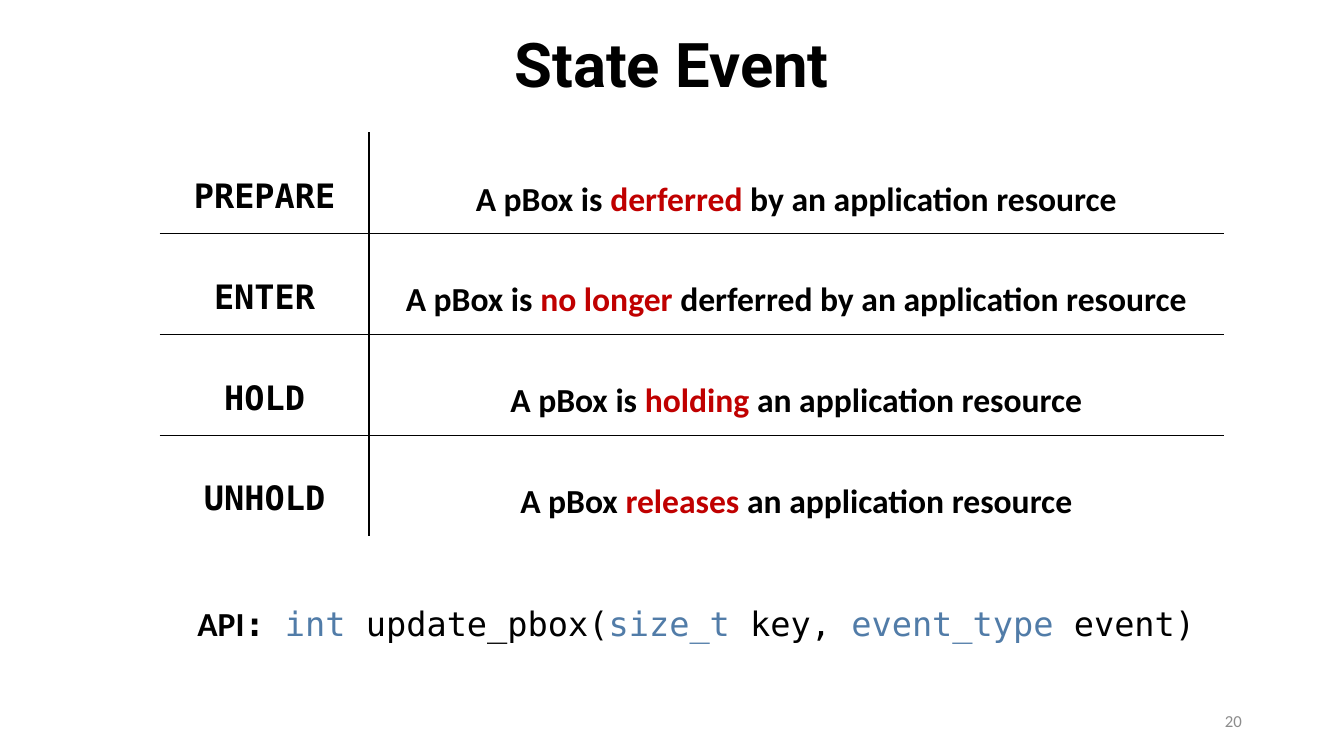
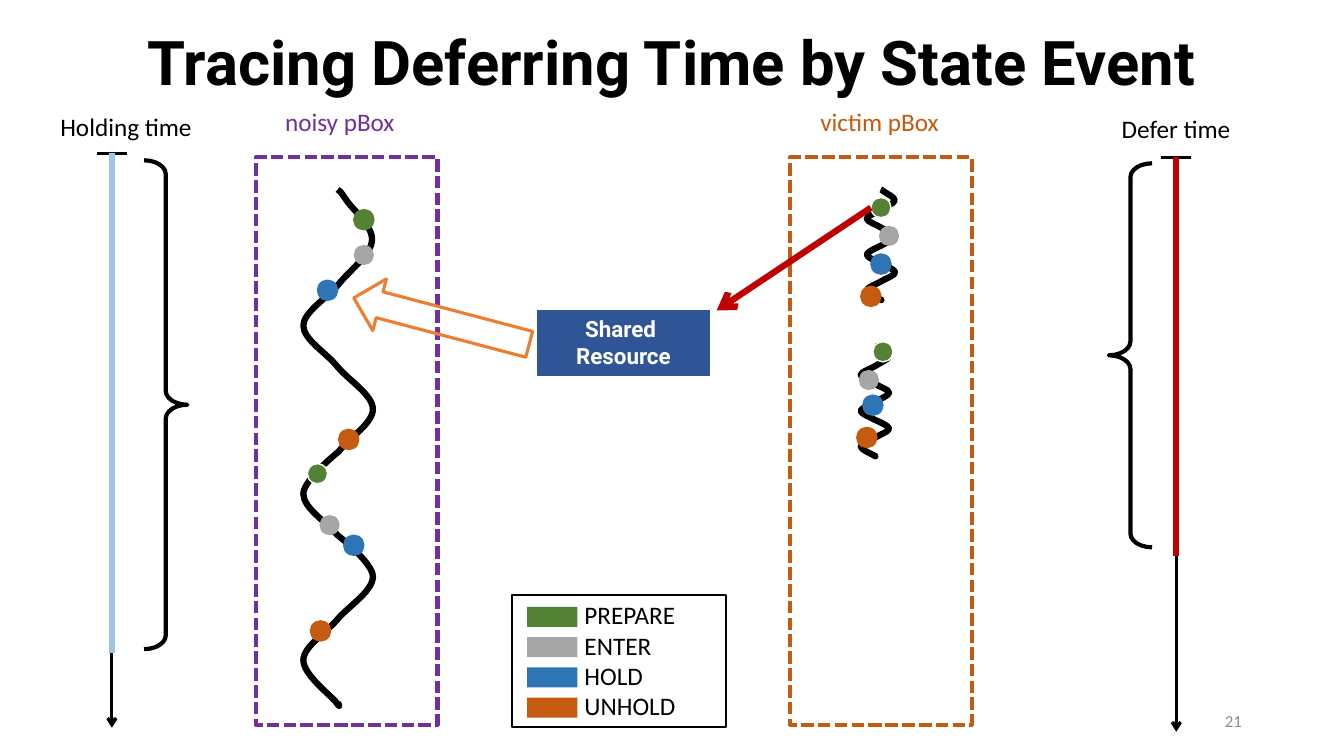
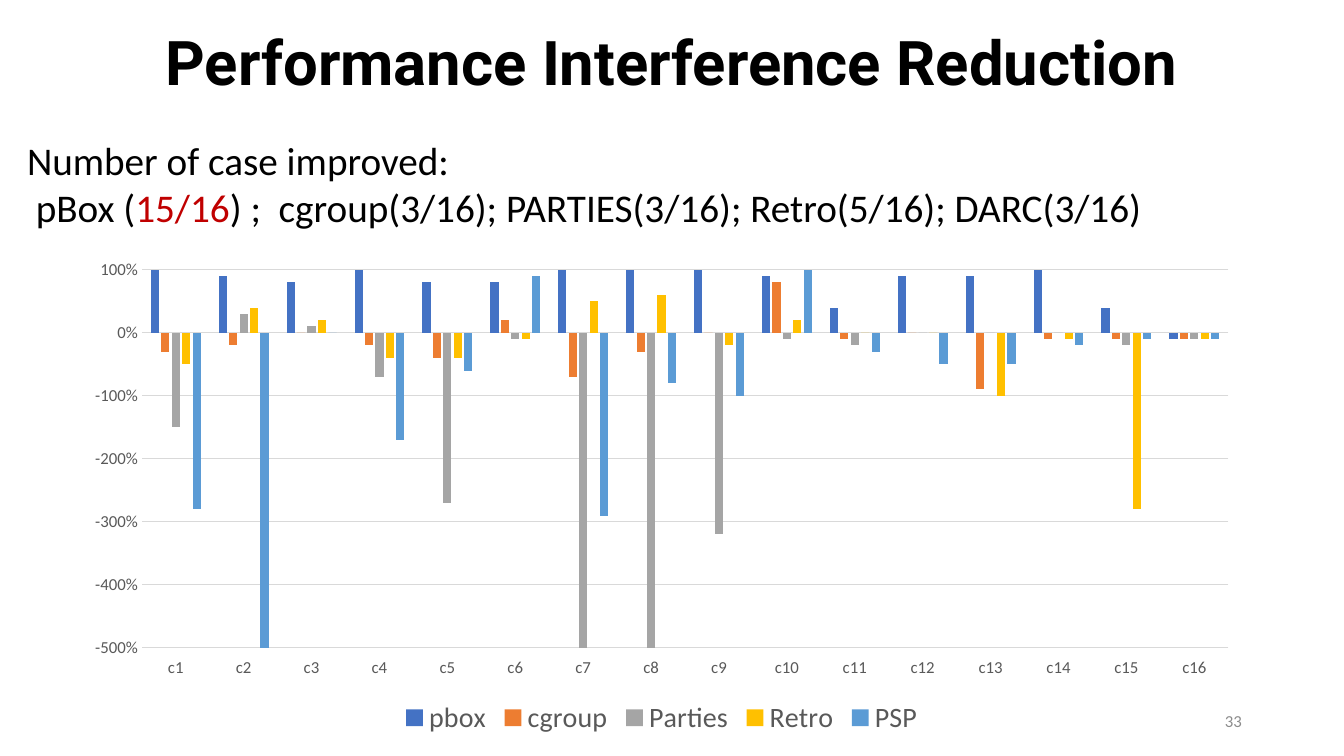
"""Build three slides on pBox state events, deferring time and results."""
from lxml.etree import SubElement
from pptx import Presentation
from pptx.chart.data import CategoryChartData
from pptx.dml.color import RGBColor
from pptx.enum.chart import XL_CHART_TYPE, XL_LEGEND_POSITION, XL_TICK_LABEL_POSITION, XL_TICK_MARK
from pptx.enum.dml import MSO_LINE
from pptx.enum.shapes import MSO_CONNECTOR, MSO_SHAPE
from pptx.enum.text import MSO_ANCHOR, MSO_AUTO_SIZE, PP_ALIGN
from pptx.oxml import parse_xml
from pptx.oxml.ns import nsdecls, qn
from pptx.util import Inches, Pt

WIDTH, HEIGHT = 40 / 3, 7.5
BLACK, WHITE, RED, GREY = "000000", "FFFFFF", "C00000", "595959"
PURPLE, ORANGE, NAVY, GRID = "7030A0", "C55A11", "2F5597", "D9D9D9"
MONO = "DejaVu Sans Mono"
ACCENT = {"colour": RED}
CODE = {"font": MONO, "bold": False}
TYPE = {**CODE, "colour": "517CA8"}

EVENTS = {"PREPARE": "548235", "ENTER": "A6A6A6", "HOLD": "2E75B6", "UNHOLD": ORANGE}
MEANINGS = [
    [("A pBox is ", {}), ("derferred", ACCENT), (" by an application resource", {})],
    [("A pBox is ", {}), ("no longer ", ACCENT), ("derferred by an application resource", {})],
    [("A pBox is ", {}), ("holding", ACCENT), (" an application resource", {})],
    [("A pBox ", {}), ("releases", ACCENT), (" an application resource", {})],
]
API = [
    ("API", {}), (": ", {"font": MONO}), ("int", TYPE), (" update_pbox(", CODE),
    ("size_t", TYPE), (" key, ", CODE), ("event_type", TYPE), (" event)", CODE),
]

BOXES = [("noisy pBox", PURPLE, 2.54, 2.73, 1.36), ("victim pBox", ORANGE, 7.84, 8.04, 1.39)]
WAVE_START = (0.34, 5.09)
WAVE_CURVES = [
    ((0.36, 5.12), (0.37, 5.15), (0.32, 5.08)),
    ((0.26, 5.01), (0, 4.81), (0, 4.67)), ((0, 4.53), (0.24, 4.39), (0.35, 4.25)),
    ((0.47, 4.12), (0.69, 3.98), (0.69, 3.84)), ((0.69, 3.7), (0.34, 3.43), (0.34, 3.43)),
    ((0.22, 3.29), (0, 3.16), (0, 3.02)), ((0, 2.88), (0.35, 2.6), (0.35, 2.6)),
    ((0.46, 2.46), (0.69, 2.32), (0.69, 2.18)), ((0.69, 2.04), (0.46, 1.9), (0.34, 1.76)),
    ((0.23, 1.62), (0, 1.49), (0, 1.35)), ((0, 1.22), (0.23, 1.08), (0.35, 0.94)),
    ((0.46, 0.8), (0.67, 0.65), (0.68, 0.51)), ((0.7, 0.37), (0.48, 0.19), (0.43, 0.11)),
    ((0.37, 0.02), (0.36, 0.01), (0.34, 0)),
]
WAVES = [(3.01, 1.88, 0.69, 5.09), (8.6, 1.88, 0.28, 1.09), (8.54, 3.43, 0.28, 1.09)]
ROUNDS = [
    (EVENTS["PREPARE"], [(3.51, 2.08), (3.51, 2.43), (3.15, 2.78), (3.36, 4.26)]),
    (WHITE, [(3.05, 4.6), (3.17, 5.11), (3.41, 5.31), (3.08, 6.16)]),
    (WHITE, [(8.64, 1.96), (8.72, 2.24), (8.64, 2.52), (8.54, 2.84)]),
    (WHITE, [(8.66, 3.39), (8.52, 3.67), (8.56, 3.92), (8.5, 4.24)]),
]
TIMELINES = [
    ("Holding time", (0.5, 1.06, 1.52, 0.4), 1.11, 1.52,
     [(1.52, 2.52), (2.51, 4.51), (4.48, 6.48)], "9DC3E6",
     MSO_SHAPE.RIGHT_BRACE, (1.43, 1.59, 0.43, 4.85)),
    ("Defer time", (11.03, 1.08, 1.29, 0.4), 11.67, 1.56,
     [(1.56, 3.56), (3.52, 5.52)], RED,
     MSO_SHAPE.LEFT_BRACE, (11, 1.62, 0.43, 3.81)),
]

SUMMARY = [
    [("Number of case improved:", {})],
    [(" ", ACCENT), ("pBox (", {}), ("15/16", ACCENT),
     (") ;  cgroup(3/16); PARTIES(3/16); Retro(5/16); DARC(3/16)", {})],
]
SERIES = [
    ("pbox", "4472C4", [1.1, 0.9, 0.8, 1.1, 0.8, 0.8, 1, 1, 1, 0.9, 0.4, 0.9, 0.9, 1, 0.4, -0.1]),
    ("cgroup", "ED7D31",
     [-0.3, -0.2, 0, -0.2, -0.4, 0.2, -0.7, -0.3, 0, 0.8, -0.1, 0, -0.9, -0.1, -0.1, -0.1]),
    ("Parties", "A5A5A5",
     [-1.5, 0.3, 0.1, -0.7, -2.7, -0.1, -6.8, -6.4, -3.2, -0.1, -0.2, 0, 0, 0, -0.2, -0.1]),
    ("Retro", "FFC000",
     [-0.5, 0.4, 0.2, -0.4, -0.4, -0.1, 0.5, 0.6, -0.2, 0.2, 0, 0, -1, -0.1, -2.8, -0.1]),
    ("PSP", "5B9BD5",
     [-2.8, -24.4, 0, -1.7, -0.6, 0.9, -2.9, -0.8, -1, 1.1, -0.3, -0.5, -0.5, -0.2, -0.1, -0.1]),
]


def rgb(colour):
    return RGBColor.from_string(colour)


def inches(*lengths):
    return [Inches(length) for length in lengths]


def style_font(font, size, colour=BLACK, name="Calibri", bold=False):
    font.size, font.name, font.bold = Pt(size), name, bold
    font.color.rgb = rgb(colour)


def style_text(text_frame, size, colour=BLACK, font="Calibri", bold=False, align=PP_ALIGN.LEFT):
    for paragraph in text_frame.paragraphs:
        paragraph.alignment = align
        for run in paragraph.runs:
            style_font(run.font, size, colour, font, bold)


def write_runs(paragraph, pieces, size, bold=False):
    for text, changes in pieces:
        run = paragraph.add_run()
        run.text = text
        style = {"colour": BLACK, "font": "Calibri", "bold": bold, **changes}
        style_font(run.font, size, style["colour"], style["font"], style["bold"])


def add_text(slide, box, text="", size=18, colour=BLACK, wrap=False, **style):
    text_frame = slide.shapes.add_textbox(*inches(*box)).text_frame
    text_frame.word_wrap = wrap
    text_frame.auto_size = MSO_AUTO_SIZE.SHAPE_TO_FIT_TEXT
    text_frame.text = text
    style_text(text_frame, size, colour, **style)
    return text_frame


def style_outline(shape, fill, line, width):
    shape.shadow.inherit = False
    if fill:
        shape.fill.solid()
        shape.fill.fore_color.rgb = rgb(fill)
    else:
        shape.fill.background()
    if line:
        shape.line.color.rgb = rgb(line)
        shape.line.width = Pt(width)
    else:
        shape.line.fill.background()


def add_shape(parent, kind, box, fill=None, line=None, width=1):
    shape = parent.shapes.add_shape(kind, *inches(*box))
    style_outline(shape, fill, line, width)
    return shape


def add_line(parent, start, end, colour=BLACK, width=2.25, arrow=False):
    connector = parent.shapes.add_connector(MSO_CONNECTOR.STRAIGHT, *inches(*start, *end))
    connector.line.color.rgb = rgb(colour)
    connector.line.width = Pt(width)
    properties = connector._element.spPr
    if arrow:
        SubElement(properties.find(qn("a:ln")), qn("a:tailEnd"), type="arrow")
    SubElement(properties, qn("a:effectLst"))


def add_slide(presentation, title, number):
    slide = presentation.slides.add_slide(presentation.slide_layouts[5])
    text_frame = slide.shapes.title.text_frame
    text_frame.text = title
    text_frame.vertical_anchor = MSO_ANCHOR.MIDDLE
    text_frame.paragraphs[0].line_spacing = 0.9
    style_text(text_frame, 44, font="Roboto", bold=True, align=PP_ALIGN.CENTER)
    footer = add_text(slide, (9.42, 6.95, 3, 0.4), str(number), 12, "8C8C8C",
                      wrap=True, align=PP_ALIGN.RIGHT)
    footer.auto_size = MSO_AUTO_SIZE.NONE
    footer.vertical_anchor = MSO_ANCHOR.MIDDLE
    return slide


def add_borders(cell, sides):
    properties = cell._tc.get_or_add_tcPr()
    for position, side in enumerate(sides):
        properties.insert(position, parse_xml(
            f'<a:ln{side} {nsdecls("a")} w="12700"><a:solidFill>'
            f'<a:srgbClr val="{BLACK}"/></a:solidFill></a:ln{side}>'))


def build_events(presentation):
    slide = add_slide(presentation, "State Event", 20)
    title = slide.shapes.title
    title.left, title.top, title.width, title.height = inches(0, 0.02, WIDTH, 1.3)
    last = len(EVENTS) - 1
    table = slide.shapes.add_table(len(EVENTS), 2, *inches(1.59, 1.32, 10.55, 4)).table
    table.first_row = table.horz_banding = False
    table.columns[0].width, table.columns[1].width = inches(2.07, 8.48)
    for row, (event, meaning) in enumerate(zip(EVENTS, MEANINGS)):
        for column, pieces in enumerate(([(event, {"font": MONO})], meaning)):
            cell = table.cell(row, column)
            cell.fill.solid()
            cell.fill.fore_color.rgb = rgb(WHITE)
            paragraph = cell.text_frame.paragraphs[0]
            paragraph.alignment, paragraph.line_spacing = PP_ALIGN.CENTER, 2.0
            write_runs(paragraph, pieces, 24, bold=True)
            add_borders(cell, ["RL"[column]] + ["T"] * (row > 0) + ["B"] * (row < last))
    api = add_text(slide, (1.86, 5.93, 10.17, 0.5), wrap=True)
    write_runs(api.paragraphs[0], API, 24, bold=True)


def add_wave(slide, left, top, width, height):
    corners = [WAVE_START] + [point for curve in WAVE_CURVES for point in curve]
    points = [inches(left + x * width / 0.69, top + y * height / 5.09) for x, y in corners]
    builder = slide.shapes.build_freeform(*points[0])
    builder.add_line_segments(points[1:], close=False)
    wave = builder.convert_to_shape()
    style_outline(wave, None, BLACK, 4.5)
    outline = next(wave._element.iter(qn("a:path")))
    segments = outline.findall(qn("a:lnTo"))
    for index in range(0, len(segments), 3):
        curve = SubElement(outline, qn("a:cubicBezTo"))
        for segment in segments[index:index + 3]:
            curve.append(segment[0])
            outline.remove(segment)


def add_legend(slide):
    group = slide.shapes.add_group_shape()
    legend = add_shape(group, MSO_SHAPE.RECTANGLE, (5.08, 5.9, 2.12, 1.31), None, BLACK, 1.5)
    legend.text_frame.text = "\n".join(EVENTS)
    legend.text_frame.vertical_anchor = MSO_ANCHOR.TOP
    style_text(legend.text_frame, 18)
    for row, (paragraph, colour) in enumerate(zip(legend.text_frame.paragraphs, EVENTS.values())):
        paragraph._p.get_or_add_pPr().set("marL", str(Inches(0.62)))
        add_shape(group, MSO_SHAPE.RECTANGLE, (5.23, 6.02 + row * 0.3, 0.5, 0.2), colour)


def build_tracing(presentation):
    slide = add_slide(presentation, "Tracing Deferring Time by State Event", 21)
    for name, colour, left, label_left, label_width in BOXES:
        frame = add_shape(slide, MSO_SHAPE.RECTANGLE, (left, 1.56, 1.8, 5.63), None, colour, 3)
        frame.line.dash_style = MSO_LINE.SQUARE_DOT
        add_text(slide, (label_left, 1.01, label_width, 0.4), name, colour=colour)
    for wave in WAVES:
        add_wave(slide, *wave)

    resource = add_shape(slide, MSO_SHAPE.RECTANGLE, (5.33, 3.08, 1.71, 0.64), NAVY, NAVY)
    resource.text_frame.text = "Shared \nResource"
    resource.text_frame.vertical_anchor = MSO_ANCHOR.TOP
    style_text(resource.text_frame, 16, WHITE, "Roboto", True, PP_ALIGN.CENTER)
    held = add_shape(slide, MSO_SHAPE.RIGHT_ARROW, (3.48, 2.92, 1.8, 0.53), None, "ED7D31", 2.25)
    held.rotation = 194.8

    for ring, places in ROUNDS:
        outlines = [ring, None, EVENTS["HOLD"], EVENTS["UNHOLD"]]
        for (left, top), colour, outline in zip(places, EVENTS.values(), outlines):
            add_shape(slide, MSO_SHAPE.OVAL, (left, top, 0.2, 0.2), colour, outline)
    add_line(slide, (8.64, 2.06), (7.11, 3.08), RED, 4.5, arrow=True)

    for name, label_box, x, top, bars, colour, brace_kind, brace_box in TIMELINES:
        axis = slide.shapes.add_group_shape()
        add_line(axis, (x - 0.15, top), (x + 0.15, top))
        add_line(axis, (x, top), (x, top + 5.7), arrow=True)
        for start, end in bars:
            add_line(slide, (x, start), (x, end), colour, 4.5)
        add_text(slide, label_box, name)
        brace = add_shape(slide, brace_kind, brace_box, None, BLACK, 3)
        brace.adjustments[0], brace.adjustments[1] = 0.32, 0.5
    add_legend(slide)


def build_results(presentation):
    slide = add_slide(presentation, "Performance Interference Reduction", 33)
    data = CategoryChartData(number_format="0%")
    data.categories = [f"c{case}" for case in range(1, 17)]
    for name, _, values in SERIES:
        data.add_series(name, values)
    chart = slide.shapes.add_chart(
        XL_CHART_TYPE.COLUMN_CLUSTERED, *inches(0.71, 2.48, 11.71, 4.87), data).chart
    chart.has_title = False
    style_font(chart.font, 10)
    plot = chart.plots[0]
    plot.gap_width, plot.overlap, plot.vary_by_categories = 219, -27, False
    for series, (_, colour, _) in zip(plot.series, SERIES):
        series.invert_if_negative = False
        series.format.fill.solid()
        series.format.fill.fore_color.rgb = rgb(colour)

    category_axis, value_axis = chart.category_axis, chart.value_axis
    for axis in (category_axis, value_axis):
        axis.major_tick_mark = axis.minor_tick_mark = XL_TICK_MARK.NONE
        style_font(axis.tick_labels.font, 12, GREY)
    category_axis.tick_label_position = XL_TICK_LABEL_POSITION.LOW
    value_axis.minimum_scale, value_axis.maximum_scale = -5, 1
    value_axis.tick_labels.number_format = "0%"
    value_axis.tick_labels.number_format_is_linked = False
    value_axis.format.line.fill.background()
    for line in (category_axis.format.line, value_axis.major_gridlines.format.line):
        line.color.rgb = rgb(GRID)
        line.width = Pt(0.75)
    chart.has_legend = True
    chart.legend.position = XL_LEGEND_POSITION.BOTTOM
    chart.legend.include_in_layout = False
    style_font(chart.legend.font, 20, GREY)

    summary = add_text(slide, (0.17, 1.3, 13, 1.04), wrap=True)
    summary.add_paragraph()
    for paragraph, pieces in zip(summary.paragraphs, SUMMARY):
        write_runs(paragraph, pieces, 28)


def main():
    presentation = Presentation()
    presentation.slide_width, presentation.slide_height = inches(WIDTH, HEIGHT)
    title = presentation.slide_layouts[5].placeholders[0]
    title.left, title.top, title.width, title.height = inches(0, 0, WIDTH, 1.3)
    build_events(presentation)
    build_tracing(presentation)
    build_results(presentation)
    presentation.save("out.pptx")


if __name__ == "__main__":
    main()
